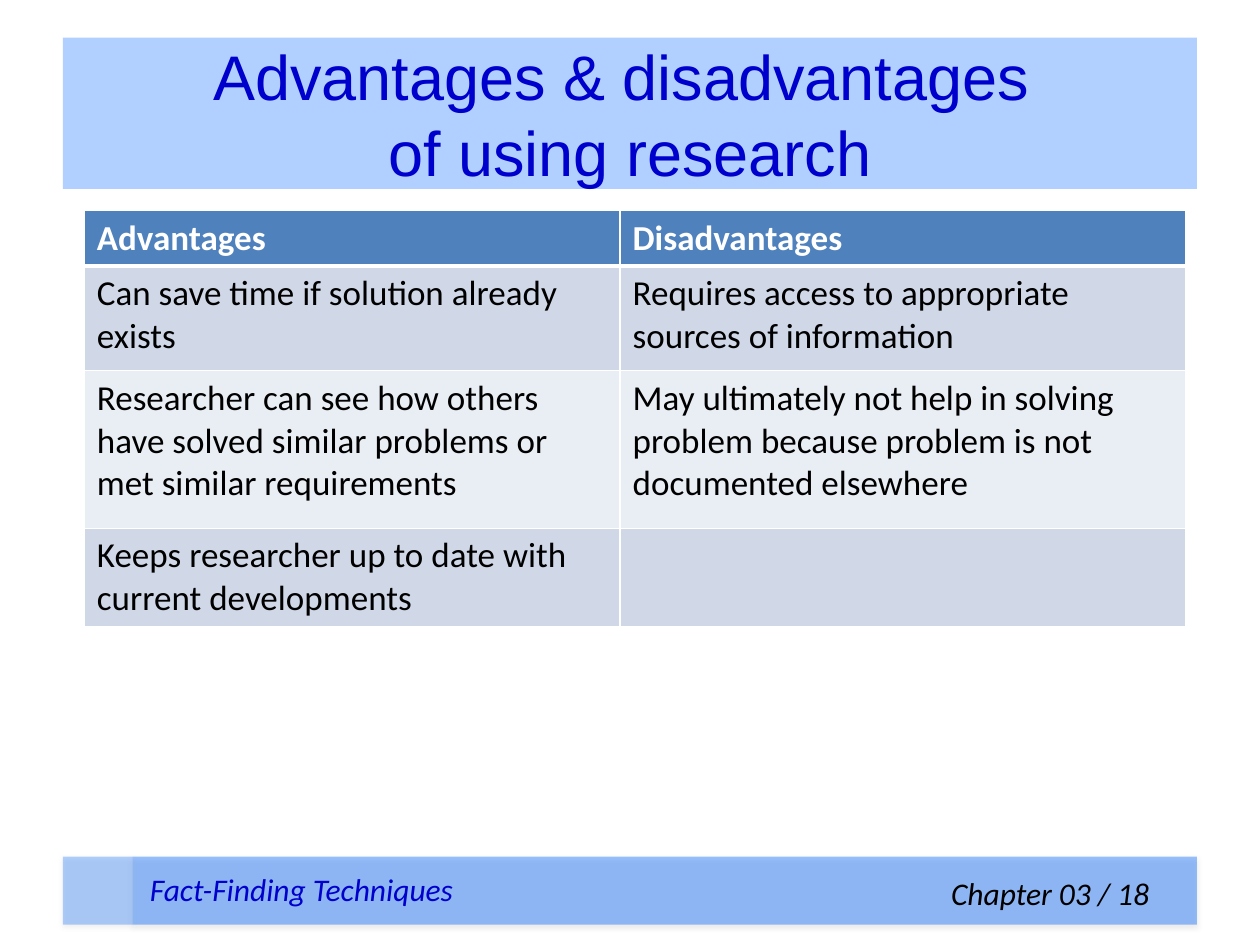
"""Build a slide with a two-column table on the pros and cons of research."""
import pptx
import pptx.dml.color
import pptx.enum.shapes
import pptx.enum.text
import pptx.oxml
import pptx.oxml.ns
import pptx.util

Cm = pptx.util.Cm
Pt = pptx.util.Pt
RGB = pptx.dml.color.RGBColor.from_string
align = pptx.enum.text.PP_ALIGN
anchor = pptx.enum.text.MSO_ANCHOR
space = pptx.oxml.ns.nsdecls("a")

theme = {
    "tint": "0066FF", "blue": "0000CC", "black": "000000", "white": "FFFFFF",
    "head": "4F81BD", "bands": ("D0D8E8", "E9EDF4"), "shade": "808080",
    "title": {"name": "Arial", "size": Pt(36)},
    "top": {"name": "Calibri", "size": Pt(20), "bold": True},
    "body": {"name": "Calibri", "size": Pt(20), "bold": False},
    "foot": {"name": "Calibri", "size": Pt(18), "italic": True},
}


def write(frame, text, style, color, side=align.LEFT):
    frame.word_wrap = True
    para = frame.paragraphs[0]
    para.text = text
    para.alignment = side
    for run in para.runs:
        for key, value in theme[style].items():
            setattr(run.font, key, value)
        run.font.color.rgb = RGB(theme[color])


def panel(left, top, width, height, alpha):
    shape = slide.shapes.add_shape(
        pptx.enum.shapes.MSO_SHAPE.RECTANGLE, Cm(left), Cm(top), Cm(width), Cm(height))
    shape.shadow.inherit = False
    shape.line.fill.background()
    shape.fill.solid()
    shape.fill.fore_color.rgb = RGB(theme["tint"])
    tint = shape.fill._xPr.find(".//" + pptx.oxml.ns.qn("a:srgbClr"))
    tint.append(pptx.oxml.parse_xml(f'<a:alpha {space} val="{alpha * 1000}"/>'))
    return shape


deck = pptx.Presentation()
deck.slide_width, deck.slide_height = Cm(25.4), Cm(19.05)
slide = deck.slides.add_slide(deck.slide_layouts[6])

title = panel(1.27, 0.76, 22.86, 3.05, 30).text_frame
title.vertical_anchor = anchor.MIDDLE
write(title, "Advantages & disadvantages \vof using research", "title", "blue", align.CENTER)

rows = [
    ("Advantages", "Disadvantages"),
    ("Can save time if solution already exists",
     "Requires access to appropriate sources of information"),
    ("Researcher can see how others have solved similar problems or met similar requirements",
     "May ultimately not help in solving problem because problem is not documented elsewhere"),
    ("Keeps researcher up to date with current developments", ""),
]
widths = (10.8, 11.4)
heights = (1.09, 2.11, 3.18, 1.96)
grid = slide.shapes.add_table(
    len(rows), len(widths), Cm(1.7), Cm(4.24), Cm(sum(widths)), Cm(sum(heights))).table
for col, width in zip(grid.columns, widths):
    col.width = Cm(width)
for r, (texts, height) in enumerate(zip(rows, heights)):
    grid.rows[r].height = Cm(height)
    for c, text in enumerate(texts):
        cell = grid.cell(r, c)
        style, color = ("body", "black") if r else ("top", "white")
        write(cell.text_frame, text, style, color)
        cell.fill.solid()
        cell.fill.fore_color.rgb = RGB(theme["bands"][(r - 1) % 2] if r else theme["head"])
        props = cell._tc.get_or_add_tcPr()
        for i, side in enumerate("LRTB"):
            thick = (side, r) in (("B", 0), ("T", 1))
            props.insert(i, pptx.oxml.parse_xml(
                f'<a:ln{side} {space} w="{Pt(3 if thick else 1)}"><a:solidFill>'
                f'<a:srgbClr val="{theme["white"]}"/></a:solidFill></a:ln{side}>'))

for left, width, alpha in ((2.67, 21.46, 40), (1.27, 1.4, 30)):
    bar = panel(left, 17.27, width, 1.37, alpha)
    glow = bar._element.spPr.find(pptx.oxml.ns.qn("a:effectLst"))
    glow.append(pptx.oxml.parse_xml(
        f'<a:outerShdw {space} blurRad="{Pt(3.1)}" dist="{Pt(1.6)}" dir="5400000" '
        f'rotWithShape="0"><a:srgbClr val="{theme["shade"]}"><a:alpha val="38000"/>'
        '</a:srgbClr></a:outerShdw>'))

notes = [
    ("Fact-Finding Techniques", 2.77, 17.42, 9.3, 0.25, "blue", align.LEFT),
    ("Chapter 03 / 18", 13.34, 17.5, 10.8, 0.97, "black", align.RIGHT),
]
for text, left, top, width, inset, color, side in notes:
    frame = slide.shapes.add_textbox(Cm(left), Cm(top), Cm(width), Cm(1.02)).text_frame
    frame.margin_right = Cm(inset)
    write(frame, text, "foot", color, side)

deck.save("out.pptx")
